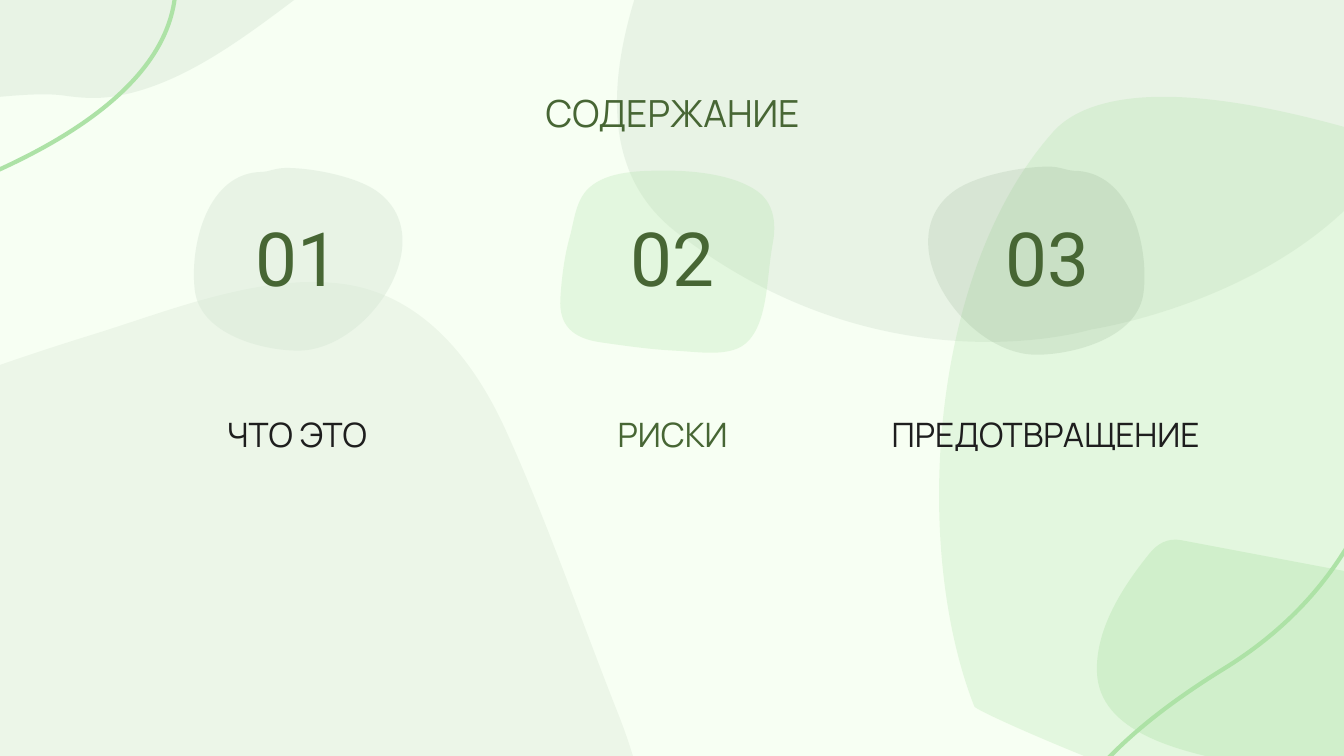
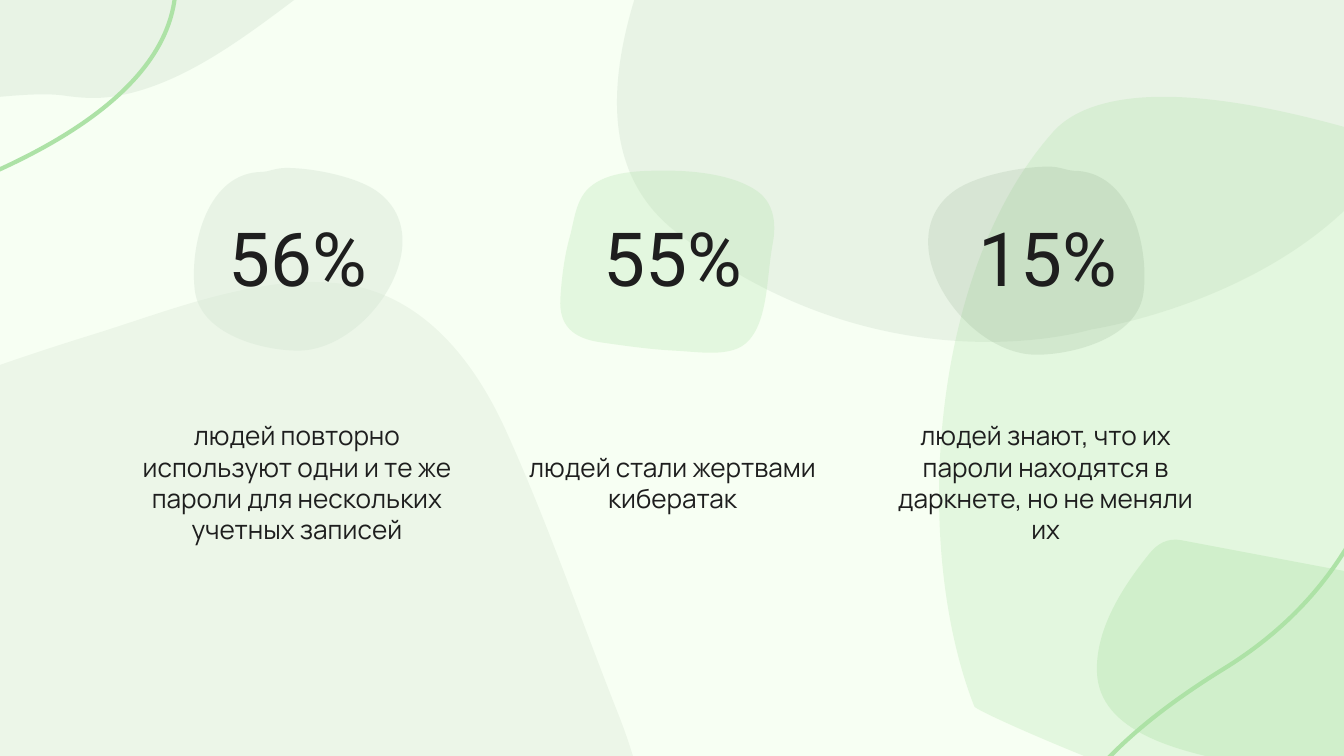
from dataclasses import dataclass
from typing import NamedTuple

from lxml import etree
from pptx import Presentation
from pptx import util as u
from pptx.dml.color import RGBColor
from pptx.enum import text
from pptx.oxml.ns import qn


@dataclass(frozen=True)
class Theme:
    back: str = "F7FFF3"
    mist: str = "D7E7D6"
    mint: str = "ADE2A6"
    moss: str = "658862"
    leaf: str = "476634"
    ink: str = "1E1E1E"
    body: str = "Manrope"
    digit: str = "Roboto"
    head: int = 20
    num: int = 40
    label: int = 18
    note: int = 14
    stroke: float = 2.25


class Box(NamedTuple):
    """A place on the slide, in inches; span() turns it into Cm."""
    left: float
    top: float
    wide: float
    high: float


class Knot(NamedTuple):
    """A point of an outline, in percent of its box.

    The curve passes through (x, y) in the direction (dx, dy).
    The handle before the point is that long, the one after it is `grow` times as long.
    A direction of (0, 0) makes a corner.
    """
    x: float
    y: float
    dx: float = 0
    dy: float = 0
    grow: float = 1

    def mirror(self):
        return self._replace(x=100 - self.x, dx=-self.dx)

    def before(self):
        return self.x - self.dx, self.y - self.dy

    def after(self):
        return self.x + self.dx * self.grow, self.y + self.dy * self.grow


class Patch(NamedTuple):
    """An outline put in a box; without an opacity it is an open stroke."""
    knots: list
    box: Box
    color: str
    alpha: int = None
    turn: float = 0
    flip: bool = False


T = Theme()

# Content
HEAD = "СОДЕРЖАНИЕ"
TOPICS = [("01", "ЧТО ЭТО", T.ink), ("02", "РИСКИ", T.leaf), ("03", "ПРЕДОТВРАЩЕНИЕ", T.ink)]
FACTS = [
    ("56%", "людей повторно используют одни и те же пароли для нескольких учетных записей", T.ink),
    ("55%", "людей стали жертвами кибератак", T.ink),
    ("15%", "людей знают, что их пароли находятся в даркнете, но не меняли их", T.ink),
]

# Places
HEAD_BOX = Box(0.79, 0.48, 8.43, 0.72)
NUM_BOX = Box(1.54, 1.67, 1.35, 0.48)
NUM_STEP = 2.79
COLS = [(0.95, 2.52), (3.83, 2.35), (6.52, 2.52)]
COL_H = 1.02
TOPIC_TOP, FACT_TOP = 2.72, 3.08
PAD = 0.1

# Outlines, each drawn once and reused by turning or mirroring
STRAND = [Knot(0, 0), Knot(21, 58, 9, 9), Knot(68, 62, 20, 37), Knot(100, 35, 2, -47)]
WAVE = [
    Knot(62.8, 0, -13.4, 0, 0.3), Knot(50.5, 6, -4.2, 4.3, 4.4), Knot(27, 42.4),
    Knot(16, 54, -8, 0), Knot(0.6, 60.6, -0.5, 3.6, 1.2), Knot(12.9, 82, 7.1, 4.9, 0.8),
    Knot(35.2, 95.5, 8.1, 0, 0.2), Knot(39.7, 94.3, 1.5, -0.7, 6.5),
    Knot(98.5, 67.9, 1.6, -32.1), Knot(87, 18.9),
]
LEAF = [
    Knot(36, 0, 2.1, 0, 9), Knot(93.8, 23.1, 0.3, 1, 20), Knot(86.2, 95.6, -12, 17.6, 0.17),
    Knot(75.6, 100, -4.8, 0, 4.5), Knot(6, 63.6, -4.8, -8.3, 1.2),
    Knot(30.7, 0.8, 15.1, -5.9, 0.1),
]
PETAL = [
    Knot(20.4, 0, -4.1, 0), Knot(8.1, 11.4, -3, 9.4, 1.5), Knot(1.4, 67.5, -1.2, 18.8, 1.35),
    Knot(22.3, 99.8, 10.5, 0, 0.2), Knot(90.6, 99.4, 2, 0), Knot(94.6, 90.6, 0.8, -5, 3.4),
    Knot(98.6, 33.1, -1.3, -19.2, 1.4), Knot(77, 4.4, -8.6, 0),
]
DUNE = [
    Knot(47.4, 0, 13.4, 0), Knot(86.6, 10.2, 8.7, 9.5, 0.67), Knot(94.9, 36.9, 1.6, 8.4, 1.3),
    Knot(99.3, 70.2, 0.5, 11.2, 1.35), Knot(80.7, 94.6, -12.9, 2.1, 0.9),
    Knot(46.2, 98.9, -11.5, 0.8, 0.42), Knot(31.5, 99.9, -5, 0, 0.85),
    Knot(19.6, 98, -3.8, -1.5, 2.2), Knot(5.8, 76, -1.6, -9.5, 1.25),
    Knot(1.3, 40, -1.5, -12, 0.87), Knot(8.8, 11.2, 8.2, -6.7, 1.35),
]
PEBBLE = [
    Knot(38.3, 0, -10.6, 0, 0.4), Knot(29, 2.2, -2, 0, 11), Knot(2.1, 66.9, 2.1, 24.3),
    Knot(43, 100, 14, 0, 2), Knot(73.9, 12.5, -26.6, -25.7, 0.3),
]
TILE = [
    Knot(50, 0, -12, 0), Knot(13.7, 9.6, -8.7, 9.6, 0.7), Knot(5, 36, -1.9, 8, 1.3),
    Knot(0.6, 70, -0.6, 11.8, 1.25), Knot(19.3, 94, 13, 2.2, 0.9), Knot(53, 98.5, 11, 0.7),
    Knot(81, 98, 8, -3), Knot(94.4, 75.7, 1.9, -9.6, 1.2), Knot(98.8, 39.7, 1.9, -11.8, 0.9),
    Knot(91.3, 11, -8.1, -6.6, 1.35),
]

# Background of every slide, from back to front
SCENE = [
    Patch(WAVE, Box(3.72, -4.57, 9.52, 6.08), T.mist, 46, 123.4),
    Patch(LEAF, Box(6.77, 0.72, 7.73, 5.9), T.mint, 26, 180),
    Patch(STRAND, Box(5.8, 2.15, 8.56, 3.15), T.mint, turn=114.1),
    Patch(PETAL, Box(8.09, 4.41, 5.44, 1.63), T.mint, 35, 190.8),
    Patch(DUNE, Box(-2.36, 2.4, 7, 6.22), T.moss, 7, 166.4),
    Patch(WAVE, Box(-4.79, -4.06, 8.17, 5.22), T.mist, 46, 351.4, flip=True),
    Patch(STRAND, Box(-5.72, 0.87, 8.56, 3.15), T.mint, turn=303.8),
]
# Spots behind the three numbers
SPOTS = [
    Patch(PEBBLE, Box(1.41, 1.25, 1.88, 1.36), T.mist, 46),
    Patch(PEBBLE, Box(6.6, 1.24, 1.95, 1.4), T.moss, 13, flip=True),
    Patch(TILE, Box(4.16, 1.27, 1.61, 1.36), T.mint, 26),
]


def span(val):
    return u.Cm(val * 2.54)


def rgb(code):
    return RGBColor.from_string(code)


# Curved outlines
def steps(knots, closed):
    """List the drawing steps: a start, then one cubic curve per pair of knots."""
    yield "a:moveTo", [(knots[0].x, knots[0].y)]
    ends = knots[1:] + knots[:1] if closed else knots[1:]
    for here, goal in zip(knots, ends):
        yield "a:cubicBezTo", [here.after(), goal.before(), (goal.x, goal.y)]
    if closed:
        yield "a:close", []


def bend(shape, knots, closed):
    """Swap the straight outline of the shape for smooth curves."""
    route = next(shape._element.iter(qn("a:path")))
    for part in list(route):
        route.remove(part)
    for tag, dots in steps(knots, closed):
        step = etree.SubElement(route, qn(tag))
        for x, y in dots:
            etree.SubElement(step, qn("a:pt"), x=str(round(x / 100 * shape.width)),
                             y=str(round(y / 100 * shape.height)))


def paint(shape, color, alpha):
    shape.shadow.inherit = False
    if alpha is None:
        shape.fill.background()
        shape.line.color.rgb = rgb(color)
        shape.line.width = u.Pt(T.stroke)
        return
    shape.fill.solid()
    shape.fill.fore_color.rgb = rgb(color)
    tint = next(shape._element.iter(qn("a:srgbClr")))
    etree.SubElement(tint, qn("a:alpha"), val=str(alpha * 1000))
    shape.line.fill.background()


def draw(slide, patch):
    box = patch.box
    left, right = span(box.left), span(box.left + box.wide)
    top, base = span(box.top), span(box.top + box.high)
    pen = slide.shapes.build_freeform(left, top)
    pen.add_line_segments([(right, top), (right, base), (left, base)])
    shape = pen.convert_to_shape()
    knots = [k.mirror() for k in patch.knots] if patch.flip else patch.knots
    bend(shape, knots, closed=patch.alpha is not None)
    paint(shape, patch.color, patch.alpha)
    shape.rotation = patch.turn
    return shape


# Text
def write(shape, box, words, size, font, color):
    shape.left, shape.top, shape.width, shape.height = map(span, box)
    frame = shape.text_frame
    frame.word_wrap = True
    frame.auto_size = text.MSO_AUTO_SIZE.NONE
    frame.vertical_anchor = text.MSO_ANCHOR.MIDDLE
    frame.margin_left = frame.margin_right = span(PAD)
    frame.margin_top = frame.margin_bottom = span(PAD)
    para = frame.paragraphs[0]
    para.alignment = text.PP_ALIGN.CENTER
    run = para.add_run()
    run.text = words
    run.font.size = u.Pt(size)
    run.font.name = font
    run.font.color.rgb = rgb(color)


def label(slide, box, *style):
    write(slide.shapes.add_textbox(0, 0, 0, 0), box, *style)


# Slide parts
def trio(slide, items, top, size, tone):
    """Three spots with a number on each and a text below."""
    for spot in SPOTS:
        draw(slide, spot)
    for i, ((num, words, color), (left, wide)) in enumerate(zip(items, COLS)):
        label(slide, Box(left, top, wide, COL_H), words, size, T.body, color)
        place = NUM_BOX._replace(left=NUM_BOX.left + i * NUM_STEP)
        label(slide, place, num, T.num, T.digit, tone)


def dress(master, slide):
    """Colour the master and move the scene there, behind its placeholders."""
    master.background.fill.solid()
    master.background.fill.fore_color.rgb = rgb(T.back)
    for i, patch in enumerate(SCENE):
        master.shapes._spTree.insert(2 + i, draw(slide, patch)._element)


def main():
    deck = Presentation()
    deck.slide_width, deck.slide_height = u.Cm(25.4), u.Cm(14.29)

    # Contents
    plan = deck.slides.add_slide(deck.slide_layouts.get_by_name("Title Only"))
    dress(deck.slide_master, plan)
    write(plan.shapes.title, HEAD_BOX, HEAD, T.head, T.body, T.leaf)
    trio(plan, TOPICS, TOPIC_TOP, T.label, T.leaf)

    # Figures
    stats = deck.slides.add_slide(deck.slide_layouts.get_by_name("Blank"))
    trio(stats, FACTS, FACT_TOP, T.note, T.ink)

    deck.save("out.pptx")


if __name__ == "__main__":
    main()
